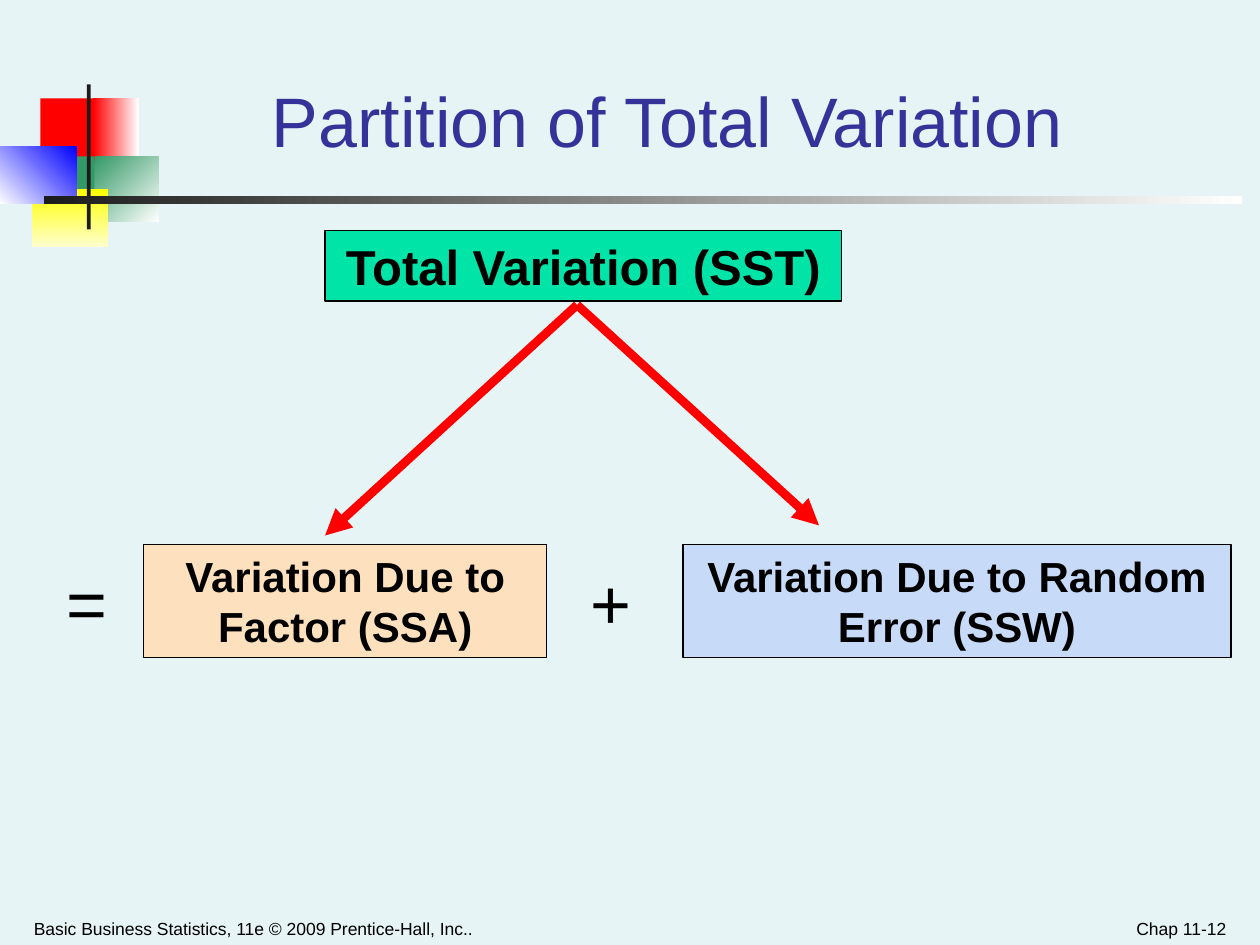
import pptx
import pptx.dml.color
import pptx.enum.shapes
import pptx.enum.text
import pptx.oxml.ns
import pptx.util
from lxml import etree

Inches = pptx.util.Inches
Pt = pptx.util.Pt
ALIGN = pptx.enum.text.PP_ALIGN
ANCHOR = pptx.enum.text.MSO_ANCHOR
qn = pptx.oxml.ns.qn

# Position, fill colours (one is solid, two are a gradient), clockwise angle
DECORATION = [
    ((0.32, 0.78, 0.48, 0.52), ["FF0000"], 0),
    ((0.74, 0.78, 0.36, 0.52), ["FF0000", "FFFFFF"], 0),
    ((0.75, 1.24, 0.51, 0.52), ["339966", "FFFFFF"], 45),
    ((0.43, 1.24, 0.32, 0.52), ["339966"], 0),
    ((0.25, 1.5, 0.61, 0.46), ["FFFF00", "FFFFCC"], 90),
    ((0, 1.16, 0.61, 0.46), ["FFFFFF", "0000FF"], 315),
    ((0.69, 0.67, 0.03, 1.15), ["1C1C1C"], 0),
    ((0.35, 1.56, 9.51, 0.06), ["1C1C1C", "FFFFFF"], 0),
]


def rgb(value):
    return pptx.dml.color.RGBColor.from_string(value)


def add_rect(s, box, colors, angle=0):
    sp = s.shapes.add_shape(pptx.enum.shapes.MSO_SHAPE.RECTANGLE,
                            *map(Inches, box))
    sp.shadow.inherit = False
    sp.line.fill.background()
    if len(colors) == 1:
        sp.fill.solid()
        sp.fill.fore_color.rgb = rgb(colors[0])
    else:
        sp.fill.gradient()
        sp.fill.gradient_angle = (360 - angle) % 360
        for stop, color in zip(sp.fill.gradient_stops, colors):
            stop.color.rgb = rgb(color)
    return sp


def set_text(sp, text, size, color="000000", bold=False,
             align=ALIGN.LEFT, anchor=ANCHOR.TOP):
    tf = sp.text_frame
    tf.word_wrap = True
    tf.vertical_anchor = anchor
    tf.text = text
    p = tf.paragraphs[0]
    p.alignment = align
    font = p.runs[0].font
    font.name = "Arial"
    font.size = Pt(size)
    font.bold = bold
    font.color.rgb = rgb(color)


def add_text(s, box, text, size, **style):
    sp = s.shapes.add_textbox(*map(Inches, box))
    set_text(sp, text, size, **style)
    return sp


def add_variation_box(s, box, text, size, fill, line_width):
    sp = add_rect(s, box, [fill])
    sp.line.color.rgb = rgb("000000")
    sp.line.width = Pt(line_width)
    set_text(sp, text, size, bold=True, align=ALIGN.CENTER)


def add_arrow(s, start, end):
    cx = s.shapes.add_connector(pptx.enum.shapes.MSO_CONNECTOR.STRAIGHT,
                                *map(Inches, start + end))
    cx.line.color.rgb = rgb("FF0000")
    cx.line.width = Pt(5)
    etree.SubElement(cx.line._get_or_add_ln(), qn("a:tailEnd"), type="triangle")
    etree.SubElement(cx._element.spPr, qn("a:effectLst"))


def main():
    prs = pptx.Presentation()
    prs.slide_width, prs.slide_height = Inches(10), Inches(7.5)
    s = prs.slides.add_slide(prs.slide_layouts[6])
    s.background.fill.solid()
    s.background.fill.fore_color.rgb = rgb("E7F4F5")

    # Coloured squares and rules beside the title
    for box, colors, angle in DECORATION:
        add_rect(s, box, colors, angle)

    # Footer
    add_text(s, (0.17, 7.15, 5.08, 0.35),
             "Basic Business Statistics, 11e © 2009 Prentice-Hall, Inc..", 10,
             anchor=ANCHOR.BOTTOM)
    add_text(s, (7.5, 7.15, 2.33, 0.35), "Chap 11-12", 10,
             align=ALIGN.RIGHT, anchor=ANCHOR.BOTTOM)

    # Arrows from the total to its two parts
    for end in ((2.58, 4.25), (6.5, 4.17)):
        add_arrow(s, (4.58, 2.42), end)

    # Title
    title = add_text(s, (1.26, 0.25, 8.07, 1.08), "Partition of Total Variation",
                     40, color="333399", align=ALIGN.CENTER,
                     anchor=ANCHOR.BOTTOM)
    title.text_frame.paragraphs[0].line_spacing = 1.1

    # Total and its parts
    add_variation_box(s, (1.14, 4.32, 3.2, 0.9),
                      "Variation Due to Factor (SSA)", 24, "FDE0BD", 0.75)
    add_variation_box(s, (5.42, 4.32, 4.35, 0.9),
                      "Variation Due to Random Error (SSW)", 24, "C7DAF7", 0.75)
    add_variation_box(s, (2.58, 1.83, 4.1, 0.56),
                      "Total Variation (SST)", 28, "00E4A8", 1)

    # Operators
    for left, sign in ((0.43, "="), (4.59, "+")):
        add_text(s, (left, 4.39, 0.91, 0.76), sign, 40)

    prs.save("out.pptx")


if __name__ == "__main__":
    main()
